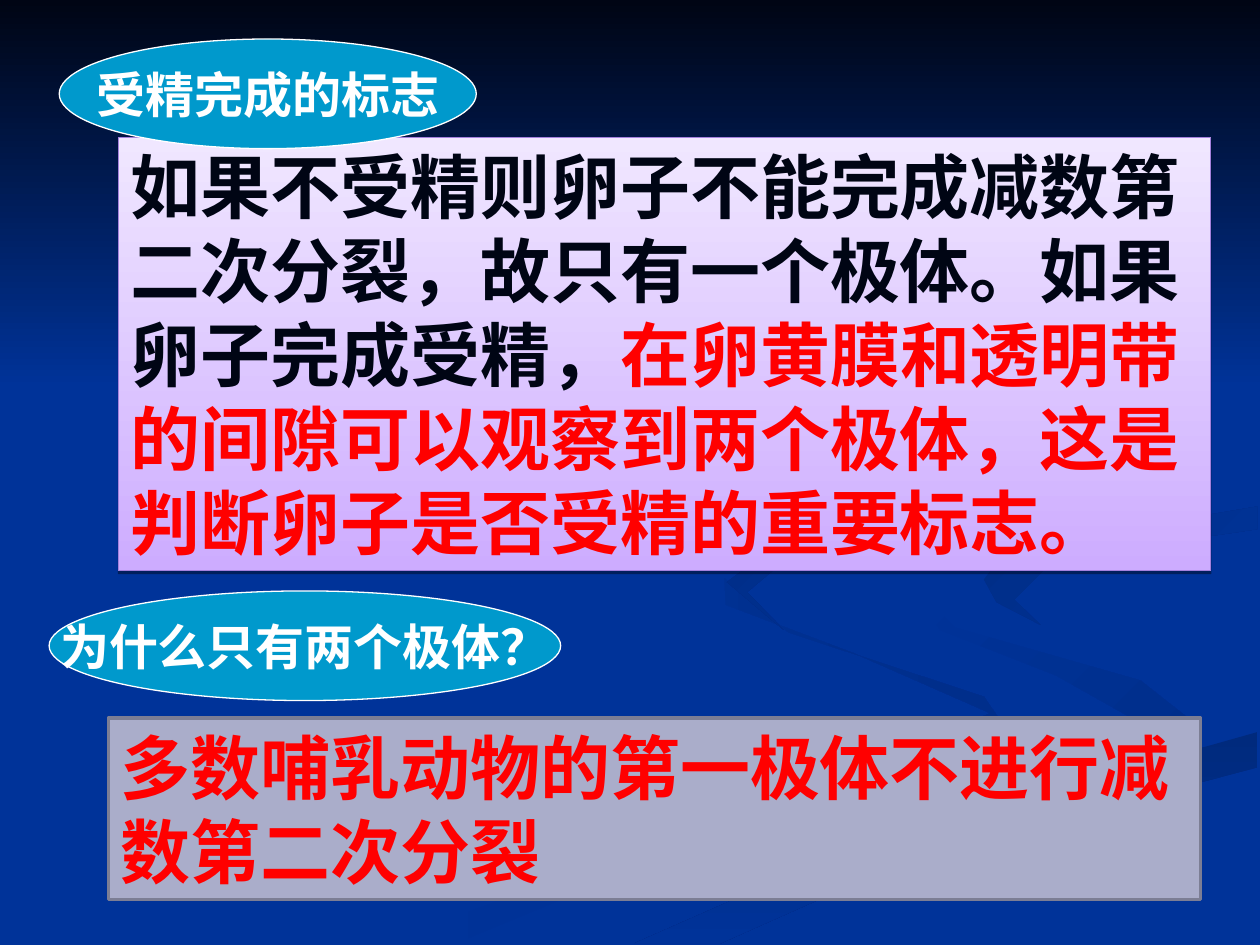
from dataclasses import dataclass
from typing import NamedTuple, Optional, Union

from lxml.etree import SubElement
from pptx import Presentation
from pptx.dml.color import RGBColor as RGB
from pptx.enum.shapes import MSO_SHAPE as SHP
from pptx.enum.text import MSO_ANCHOR as ANC, MSO_AUTO_SIZE as FIT, PP_ALIGN as AL
from pptx.oxml.ns import qn
from pptx.util import Emu, Inches, Pt

CELL = Inches(0.01)  # the slide is a grid of 1000 columns by 750 rows
COLS, ROWS = 1000, 750


class Gradient(NamedTuple):
    start: str
    end: str
    angle: int  # clockwise


Fill = Union[str, Gradient]


@dataclass(frozen=True)
class Theme:
    font: str = "Times New Roman"
    body: int = 40
    label: int = 28
    back: str = "003399"
    night: str = "000514"
    white: str = "FFFFFF"
    red: str = "FF0000"
    oval: str = "0099CC"
    lilac: Gradient = Gradient("CDACFF", "F0E7FF", 270)
    lilac_line: str = "A481DD"
    grey: str = "AAADCA"
    grey_line: str = "7C7E94"


T = Theme()


class Run(NamedTuple):
    text: str
    color: str


class Box(NamedTuple):
    col: int
    row: int
    cols: int
    rows: int


class Swirl(NamedTuple):
    fill: Fill
    points: list[tuple[int, int]]


SWIRLS = [
    Swirl(Gradient(T.back, "002E8B", 0), [
        (781, 553), (626, 502), (575, 459), (576, 480), (679, 519), (786, 566),
        (684, 613), (300, 749), (361, 749), (564, 665), (800, 581)]),
    Swirl(Gradient(T.back, "002E8B", 45), [
        (943, 570), (905, 540), (758, 498), (724, 464), (746, 500), (838, 536),
        (918, 581), (894, 605)]),
    Swirl(Gradient("002A7D", T.back, 90), [
        (503, 749), (571, 749), (722, 682), (998, 609), (998, 581), (764, 647),
        (630, 693)]),
    Swirl(Gradient("002D86", T.back, 45), [
        (781, 460), (791, 478), (826, 496), (805, 476), (828, 453), (896, 435),
        (998, 420), (998, 402), (849, 427), (791, 447)]),
    Swirl(Gradient("002B82", T.back, 45), [
        (683, 430), (855, 391), (894, 344), (843, 275), (762, 233), (846, 279),
        (889, 335), (830, 382), (625, 426), (577, 462), (622, 500), (593, 470),
        (624, 444)]),
    Swirl(Gradient(T.night, T.back, 90), [
        (0, 0), (0, 308), (COLS, 308), (COLS, 0)]),
]


def paint(sp, fill: Fill, line: Optional[str] = None, width: float = 0.75) -> None:
    sp.shadow.inherit = False
    if isinstance(fill, Gradient):
        sp.fill.gradient()
        sp.fill.gradient_angle = (360 - fill.angle) % 360
        for stop, color in zip(sp.fill.gradient_stops, fill[:2]):
            stop.color.rgb = RGB.from_string(color)
    else:
        sp.fill.solid()
        sp.fill.fore_color.rgb = RGB.from_string(fill)
    if line:
        sp.line.color.rgb = RGB.from_string(line)
        sp.line.width = Pt(width)
    else:
        sp.line.fill.background()


def draw_swirl(s, swirl: Swirl) -> None:
    first, *rest = swirl.points
    builder = s.shapes.build_freeform(*first, scale=CELL)
    builder.add_line_segments(rest, close=True)
    paint(builder.convert_to_shape(), swirl.fill)


def add_shape(s, kind: SHP, box: Box, runs: list[Run], size: int, align: AL):
    sp = s.shapes.add_shape(kind, *(Emu(n * CELL) for n in box))
    p = sp.text_frame.paragraphs[0]
    p.alignment = align
    for text, color in runs:
        r = p.add_run()
        r.text = text
        r.font.name, r.font.size, r.font.bold = T.font, Pt(size), True
        r.font.color.rgb = RGB.from_string(color)
        r._r.get_or_add_rPr().set("lang", "zh-CN")
    return sp


def add_label(s, box: Box, text: str) -> None:
    sp = add_shape(s, SHP.OVAL, box, [Run(text, T.white)], T.label, AL.CENTER)
    paint(sp, T.oval, T.white)
    sp.text_frame.word_wrap = False
    sp.text_frame.vertical_anchor = ANC.MIDDLE


def add_panel(s, box: Box, runs: list[Run], fill: Fill, line: str, width: float):
    sp = add_shape(s, SHP.RECTANGLE, box, runs, T.body, AL.LEFT)
    paint(sp, fill, line, width)
    tf = sp.text_frame
    tf.word_wrap, tf.auto_size, tf.vertical_anchor = True, FIT.SHAPE_TO_FIT_TEXT, ANC.TOP
    return sp


def drop_shadow(sp) -> None:
    effects = sp._element.spPr.find(qn("a:effectLst"))
    shadow = SubElement(effects, qn("a:outerShdw"), blurRad="0", dist=str(Pt(1.6)),
                        dir="5400000", rotWithShape="0")
    color = SubElement(shadow, qn("a:srgbClr"), val="000000")
    SubElement(color, qn("a:alpha"), val="38000")


def main() -> None:
    prs = Presentation()
    prs.slide_width, prs.slide_height = Emu(COLS * CELL), Emu(ROWS * CELL)
    s = prs.slides.add_slide(prs.slide_layouts[6])
    s.background.fill.solid()
    s.background.fill.fore_color.rgb = RGB.from_string(T.back)
    for swirl in SWIRLS:
        draw_swirl(s, swirl)

    sign = add_panel(s, Box(94, 109, 867, 344), [
        Run("如果不受精则卵子不能完成减数第二次分裂，故只有一个极体。如果卵子完成受精，", T.night),
        Run("在卵黄膜和透明带的间隙可以观察到两个极体，这是判断卵子是否受精的重要标志。", T.red),
    ], T.lilac, T.lilac_line, 0.75)
    drop_shadow(sign)
    add_label(s, Box(47, 31, 331, 87), "受精完成的标志")
    add_label(s, Box(39, 469, 406, 87), "为什么只有两个极体？")
    add_panel(s, Box(86, 570, 867, 144),
              [Run("多数哺乳动物的第一极体不进行减数第二次分裂", T.red)],
              T.grey, T.grey_line, 2)
    prs.save("out.pptx")


if __name__ == "__main__":
    main()
